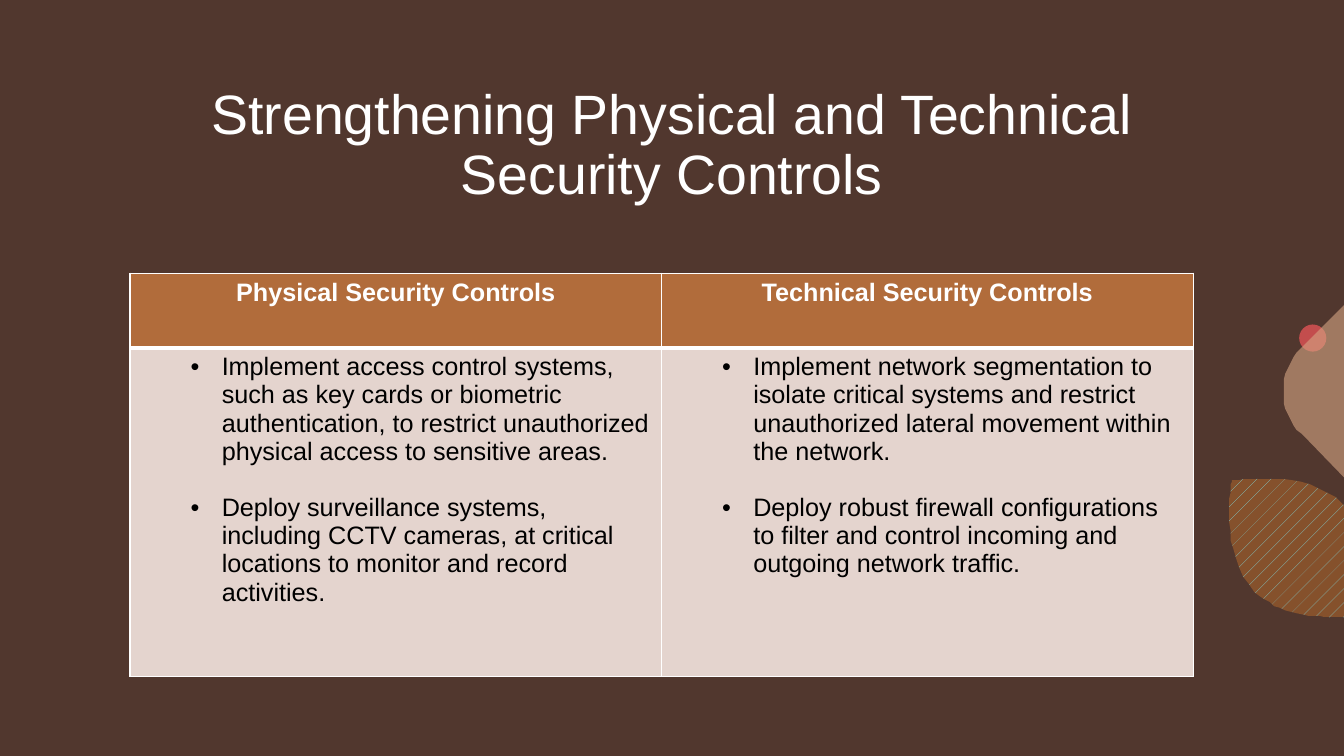
import pptx
import pptx.dml.color
import pptx.enum.dml
import pptx.enum.shapes
import pptx.enum.text
import pptx.oxml
import pptx.oxml.ns
import pptx.util

Pt = pptx.util.Pt
RGBColor = pptx.dml.color.RGBColor
ALIGN = pptx.enum.text.PP_ALIGN
ANCHOR = pptx.enum.text.MSO_ANCHOR
SHAPE = pptx.enum.shapes.MSO_SHAPE
qn = pptx.oxml.ns.qn

TITLE = "Strengthening Physical and Technical Security Controls"
CONTROLS = {
    "Physical Security Controls": [
        "Implement access control systems, such as key cards or biometric authentication, "
        "to restrict unauthorized physical access to sensitive areas.",
        "Deploy surveillance systems, including CCTV cameras, at critical locations "
        "to monitor and record activities.",
    ],
    "Technical Security Controls": [
        "Implement network segmentation to isolate critical systems and restrict "
        "unauthorized lateral movement within the network.",
        "Deploy robust firewall configurations to filter and control incoming and "
        "outgoing network traffic.",
    ],
}

SLIDE_W, SLIDE_H = 960, 540
TITLE_BOX = (68.4, 46.8, 823, 104.4)
TABLE_LEFT, TABLE_TOP, COLUMN_W = 92.9, 195.1, 379.7
ROW_HEIGHTS = (53.3, 234.7)
BERRY_BOX = (928, 231.8, 19.4, 19.4)
LEAF = [
    (957.6, 440.6), (960, 440.6), (960, 360.7), (959, 360),
    ((933.1, 333.4), (879.8, 343.4), (879.8, 343.4)),
    ((879.8, 343.4), (869.8, 396), (896.4, 422.6)),
    ((913, 439.2), (939.6, 441.4), (957.6, 440.6)),
]
PETAL = [
    (960, 218.2), (960, 341.3), (929.5, 310.3),
    ((912.2, 293.8), (912.2, 265.7), (929.5, 248.4)),
]
CURVE_STEPS = 16

DARK_BROWN = RGBColor(0x36, 0x25, 0x1F)
VEIL_BROWN = RGBColor(0x7A, 0x53, 0x46)
BERRY_RED = RGBColor(0xC3, 0x4D, 0x4D)
LEAF_BROWN = RGBColor(0x85, 0x51, 0x2C)
LEAF_HATCH = RGBColor(0x84, 0xD6, 0xD6)
PETAL_TAN = RGBColor(0xD6, 0xA6, 0x84)
HEADER_ORANGE = RGBColor(0xB1, 0x6C, 0x3B)
BODY_PINK = RGBColor(0xE4, 0xD4, 0xCE)
WHITE = RGBColor(0xFF, 0xFF, 0xFF)
BLACK = RGBColor(0, 0, 0)


def write(paragraph, text, size=18, color=BLACK, bold=False, align=ALIGN.LEFT,
          spacing=None, before=0, bullet=False):
    run = paragraph.add_run()
    run.text = text
    run.font.name = "Arial"
    run.font.size = Pt(size)
    run.font.bold = bold
    run.font.color.rgb = color
    paragraph.alignment = align
    paragraph.space_before = Pt(before)
    if spacing:
        paragraph.line_spacing = spacing
    if bullet:
        paragraph.level = 1
        properties = paragraph._p.get_or_add_pPr()
        properties.set("marL", str(Pt(58.3)))
        properties.set("indent", str(Pt(-22.3)))
        properties.makeelement(qn("a:buFont"))
        font = pptx.oxml.parse_xml(
            f'<a:buFont {pptx.oxml.ns.nsdecls("a")} typeface="Arial"/>')
        mark = pptx.oxml.parse_xml(
            f'<a:buChar {pptx.oxml.ns.nsdecls("a")} char="•"/>')
        properties.extend([font, mark])


def paint(shape, color, opacity=100):
    shape.shadow.inherit = False
    shape.line.fill.background()
    shape.fill.solid()
    shape.fill.fore_color.rgb = color
    if opacity < 100:
        tint = shape._element.spPr.find(qn("a:solidFill"))[0]
        tint.append(pptx.oxml.parse_xml(
            f'<a:alpha {pptx.oxml.ns.nsdecls("a")} val="{opacity * 1000}"/>'))


def trace(outline):
    points = []
    for step in outline:
        if len(step) == 2:
            points.append(step)
            continue
        corners = (points[-1], *step)
        for i in range(1, CURVE_STEPS + 1):
            t = i / CURVE_STEPS
            weights = ((1 - t) ** 3, 3 * t * (1 - t) ** 2, 3 * t * t * (1 - t), t ** 3)
            points.append(tuple(sum(w * c[axis] for w, c in zip(weights, corners))
                                for axis in (0, 1)))
    return points


def add_outline(slide, outline):
    start, *rest = trace(outline)
    builder = slide.shapes.build_freeform(*start, scale=Pt(1))
    builder.add_line_segments(rest, close=True)
    return builder.convert_to_shape()


def set_borders(cell, top, bottom):
    properties = cell._tc.get_or_add_tcPr()
    widths = {"lnL": 1, "lnR": 1, "lnT": top, "lnB": bottom}
    for position, (side, width) in enumerate(widths.items()):
        properties.insert(position, pptx.oxml.parse_xml(
            f'<a:{side} {pptx.oxml.ns.nsdecls("a")} w="{Pt(width)}">'
            f'<a:solidFill><a:srgbClr val="{WHITE}"/></a:solidFill></a:{side}>'))


def add_decoration(slide):
    veil = slide.shapes.add_shape(SHAPE.RECTANGLE, 0, 0, Pt(SLIDE_W), Pt(SLIDE_H))
    paint(veil, VEIL_BROWN, opacity=40)
    berry = slide.shapes.add_shape(SHAPE.OVAL, *map(Pt, BERRY_BOX))
    paint(berry, BERRY_RED)
    leaf = add_outline(slide, LEAF)
    paint(leaf, LEAF_BROWN)
    leaf.fill.patterned()
    leaf.fill.pattern = pptx.enum.dml.MSO_PATTERN.PERCENT_5
    leaf.fill.fore_color.rgb = LEAF_HATCH
    leaf.fill.back_color.rgb = LEAF_BROWN
    paint(add_outline(slide, PETAL), PETAL_TAN, opacity=60)


def add_title(slide):
    title = slide.shapes.title
    title.left, title.top, title.width, title.height = map(Pt, TITLE_BOX)
    frame = title.text_frame
    frame.word_wrap = True
    frame.auto_size = pptx.enum.text.MSO_AUTO_SIZE.NONE
    frame.vertical_anchor = ANCHOR.BOTTOM
    write(frame.paragraphs[0], TITLE, size=39.6, color=WHITE,
          align=ALIGN.CENTER, spacing=0.9)
    slide.shapes._spTree.append(title._element)


def add_controls(slide):
    table = slide.shapes.add_table(
        len(ROW_HEIGHTS), len(CONTROLS), Pt(TABLE_LEFT), Pt(TABLE_TOP),
        Pt(COLUMN_W * len(CONTROLS)), Pt(sum(ROW_HEIGHTS))).table
    for row, height in zip(table.rows, ROW_HEIGHTS):
        row.height = Pt(height)
    for column, (heading, measures) in enumerate(CONTROLS.items()):
        table.columns[column].width = Pt(COLUMN_W)
        header, body = table.cell(0, column), table.cell(1, column)
        for cell, color in ((header, HEADER_ORANGE), (body, BODY_PINK)):
            cell.fill.solid()
            cell.fill.fore_color.rgb = color
            cell.vertical_anchor = ANCHOR.TOP
        set_borders(header, top=1, bottom=3)
        set_borders(body, top=3, bottom=1)
        write(header.text_frame.paragraphs[0], heading, color=WHITE, bold=True,
              align=ALIGN.CENTER)
        for i, measure in enumerate(measures):
            frame = body.text_frame
            paragraph = frame.add_paragraph() if i else frame.paragraphs[0]
            write(paragraph, measure, before=20 if i else 0, bullet=True)


def main():
    deck = pptx.Presentation()
    deck.slide_width, deck.slide_height = Pt(SLIDE_W), Pt(SLIDE_H)
    slide = deck.slides.add_slide(deck.slide_layouts[5])
    slide.background.fill.solid()
    slide.background.fill.fore_color.rgb = DARK_BROWN
    add_decoration(slide)
    add_title(slide)
    add_controls(slide)
    deck.save("out.pptx")


if __name__ == "__main__":
    main()
